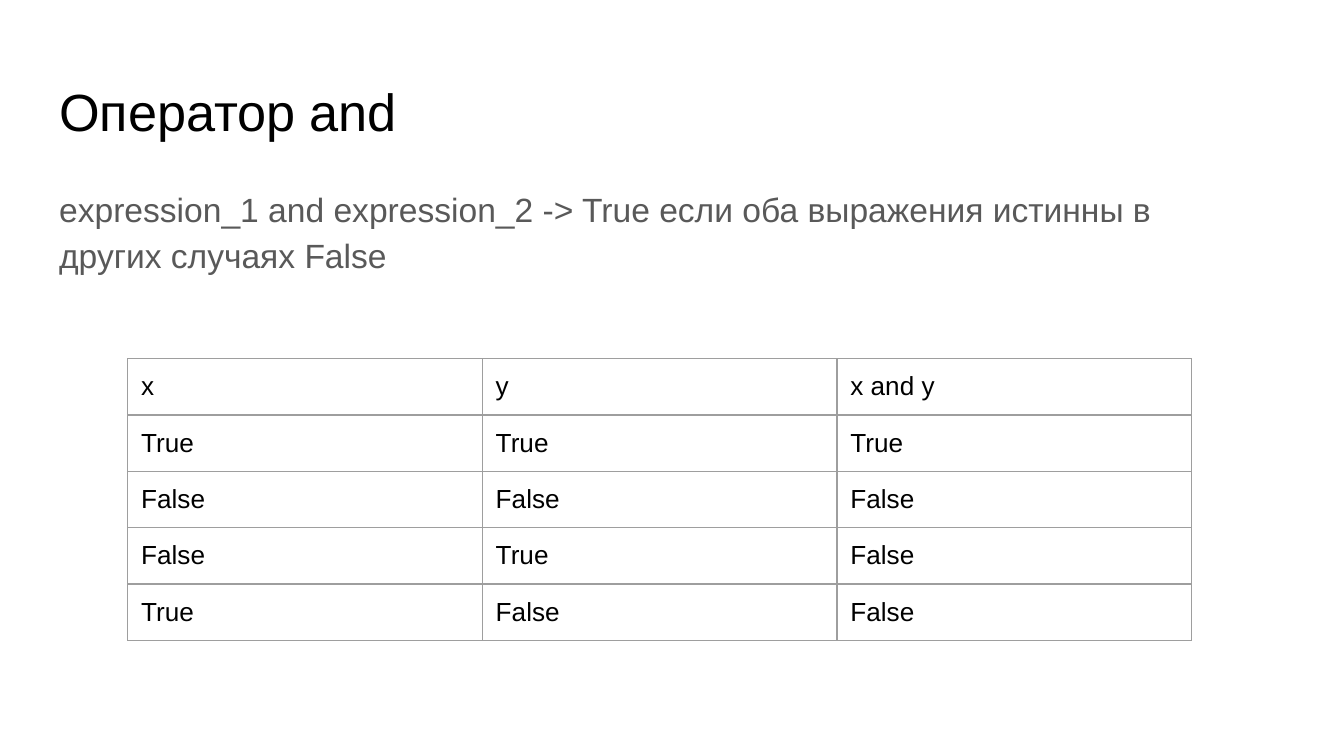
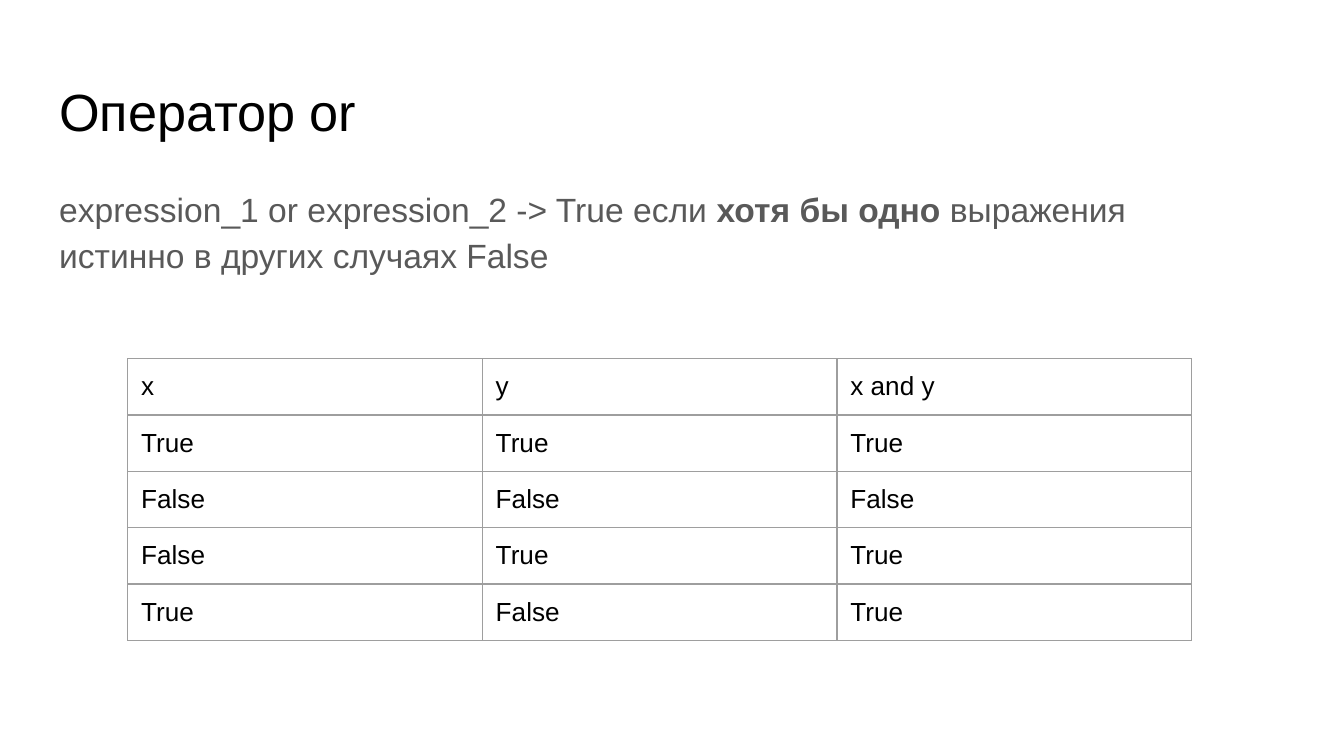
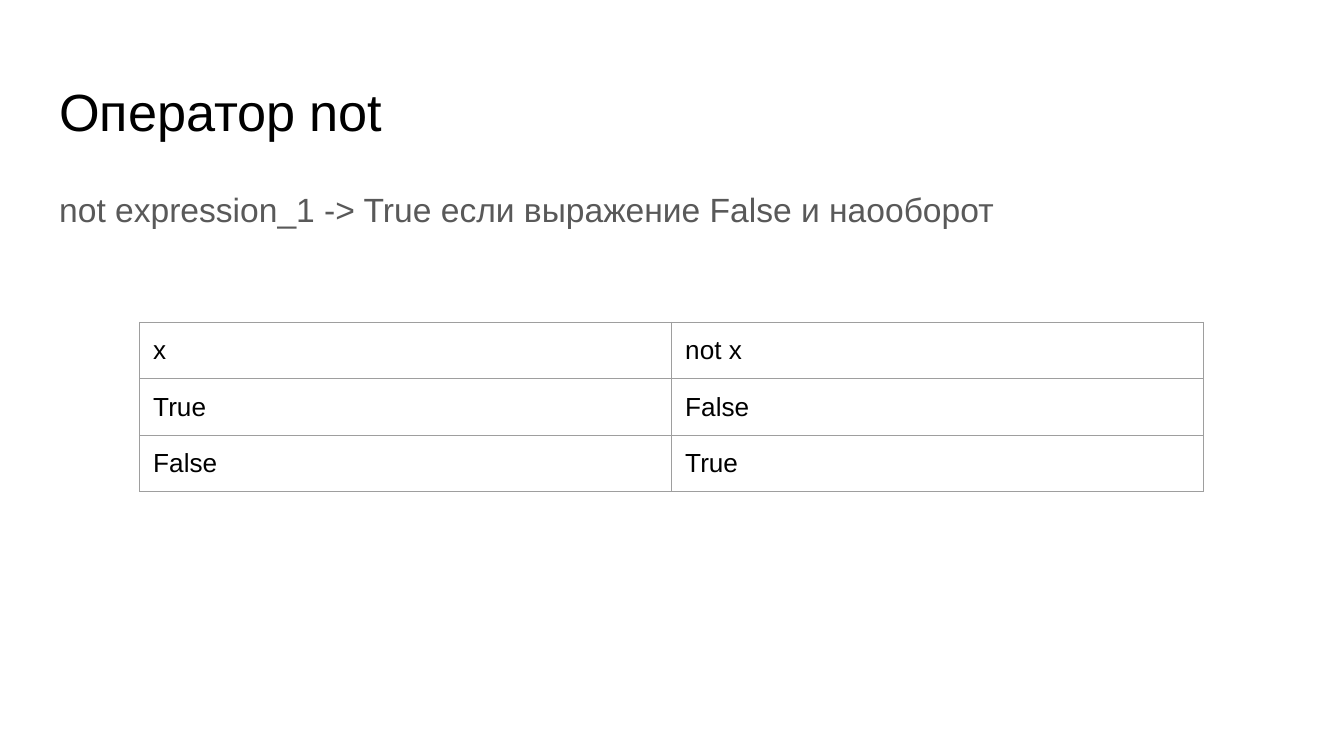
from lxml import etree
from pptx import Presentation
from pptx.dml.color import RGBColor
from pptx.enum import text as enum
from pptx.oxml import ns
from pptx.util import Pt

BLACK = RGBColor(0x00, 0x00, 0x00)
GREY = RGBColor(0x59, 0x59, 0x59)
RULE = RGBColor(0x9E, 0x9E, 0x9E)
FONT = "Arial"
INSET = Pt(7.2)

TITLE = (24.5, 35, 671, 45.4)
BODY = (24.5, 90.7, 658, 51)
WIDTH, ROW = 570, 30

PAIRS = [("True", "True"), ("False", "False"),
         ("False", "True"), ("True", "False")]
HEAD = ("x", "y", "x and y")


def truth(test):
    """Rows of a two-operand truth table, with test giving the last column."""
    return [HEAD] + [(x, y, str(test(x == "True", y == "True")))
                     for x, y in PAIRS]


# Title, body parts as (text, bold), table corner, table rows
SLIDES = [
    ("Оператор and",
     [("expression_1 and expression_2 -> True если оба выражения "
       "истинны в других случаях False", False)],
     (68.4, 192.2), truth(lambda x, y: x and y)),
    ("Оператор or",
     [("expression_1 or expression_2 -> True если ", False),
      ("хотя бы одно", True),
      (" выражения истинно в других случаях False", False)],
     (68.4, 192.2), truth(lambda x, y: x or y)),
    ("Оператор not",
     [("not expression_1 -> True если выражение False и наооборот", False)],
     (74.9, 172.8),
     [("x", "not x"), ("True", "False"), ("False", "True")]),
]


def style(run, size, color, bold=False):
    font = run.font
    font.name, font.size, font.bold = FONT, Pt(size), bold
    font.color.rgb = color


def pad(item):
    """Give a text frame or a cell the shared inner margins."""
    item.margin_left = item.margin_right = INSET
    item.margin_top = item.margin_bottom = INSET


def place(shape, box):
    """Move a placeholder to box and return its first paragraph."""
    shape.left, shape.top, shape.width, shape.height = map(Pt, box)
    frame = shape.text_frame
    pad(frame)
    frame.word_wrap = True
    frame.auto_size = enum.MSO_AUTO_SIZE.NONE
    frame.vertical_anchor = enum.MSO_ANCHOR.TOP
    para = frame.paragraphs[0]
    para.alignment = enum.PP_ALIGN.LEFT
    para.space_before = Pt(0)
    return para


def add_title(slide, words):
    para = place(slide.shapes.title, TITLE)
    para.text = words
    style(para.runs[0], 28, BLACK)


def add_body(slide, parts):
    para = place(slide.placeholders[1], BODY)
    para.line_spacing = 1.15
    para.space_after = Pt(16)
    props = para._p.get_or_add_pPr()
    props.set("marL", "0")
    props.set("indent", "0")
    etree.SubElement(props, ns.qn("a:buNone"))
    for words, bold in parts:
        run = para.add_run()
        run.text = words
        style(run, 18, GREY, bold)


def frame_cell(cell):
    """Draw a thin rule on all four sides of a cell."""
    props = cell._tc.get_or_add_tcPr()
    for spot, side in enumerate(("lnL", "lnR", "lnT", "lnB")):
        line = etree.Element(ns.qn("a:" + side), w=str(Pt(0.75)))
        fill = etree.SubElement(line, ns.qn("a:solidFill"))
        etree.SubElement(fill, ns.qn("a:srgbClr"), val=str(RULE))
        props.insert(spot, line)


def add_grid(slide, corner, rows):
    count = len(rows[0])
    left, top = corner
    table = slide.shapes.add_table(
        len(rows), count, Pt(left), Pt(top),
        Pt(WIDTH), Pt(ROW * len(rows))).table
    table.first_row = table.horz_banding = False
    for col in table.columns:
        col.width = Pt(WIDTH / count)
    for r, row in enumerate(rows):
        table.rows[r].height = Pt(ROW)
        for c, word in enumerate(row):
            cell = table.cell(r, c)
            cell.fill.background()
            pad(cell)
            frame_cell(cell)
            cell.text_frame.text = word
            style(cell.text_frame.paragraphs[0].runs[0], 14, BLACK)


def main():
    deck = Presentation()
    deck.slide_width, deck.slide_height = Pt(720), Pt(405)
    for title, parts, corner, rows in SLIDES:
        slide = deck.slides.add_slide(deck.slide_layouts[1])
        add_title(slide, title)
        add_body(slide, parts)
        add_grid(slide, corner, rows)
    deck.save("out.pptx")


if __name__ == "__main__":
    main()
